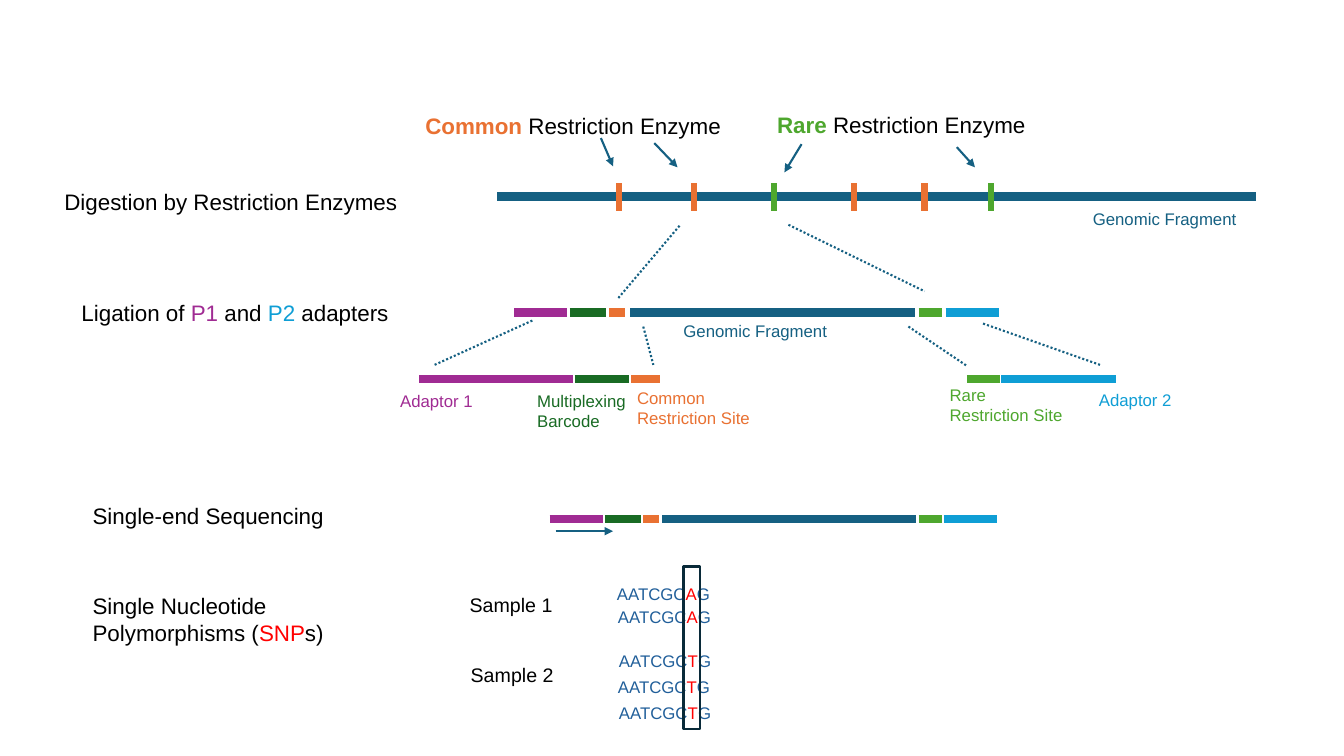
"""Build a slide on sequencing with two restriction enzymes."""
from dataclasses import dataclass
from lxml.etree import SubElement as Sub
from pptx import Presentation
from pptx.dml.color import RGBColor as RGB
from pptx.enum.dml import MSO_LINE as Dash
from pptx.enum.shapes import MSO_CONNECTOR as Conn, MSO_SHAPE as Shape
from pptx.enum.text import MSO_AUTO_SIZE as Auto
from pptx.oxml.ns import qn
from pptx.util import Inches, Pt


@dataclass(frozen=True)
class Theme:
    """Hold the colours, type sizes and line widths."""
    font: str = "Arial"
    black: str = "000000"
    blue: str = "156082"
    orange: str = "E97132"
    green: str = "4EA72E"
    forest: str = "196B24"
    purple: str = "A02B93"
    sky: str = "0F9ED5"
    base: str = "215F9A"
    red: str = "FF0000"
    frame: str = "092A39"
    step: int = 16
    sample: int = 14
    label: int = 12
    bar: float = 6
    tick: float = 4.5
    thin: float = 1.5


T = Theme()

GENOME = (4.93, 12.46, 1.95)
SITES = [(6.14, T.orange), (6.88, T.orange), (7.68, T.green),
         (8.47, T.orange), (9.17, T.orange), (9.83, T.green)]
TICK = (1.82, 2.09)

BARS = [
    (3.1, [(5.1, 5.62, T.purple), (5.65, 6.01, T.forest), (6.04, 6.2, T.orange),
           (6.25, 9.08, T.blue), (9.11, 9.34, T.green), (9.38, 9.91, T.sky)]),
    (3.76, [(4.16, 5.68, T.purple), (5.7, 6.24, T.forest), (6.26, 6.55, T.orange),
            (9.59, 9.92, T.green), (9.93, 11.07, T.sky)]),
    (5.15, [(5.45, 5.98, T.purple), (6, 6.36, T.forest), (6.38, 6.54, T.orange),
            (6.57, 9.09, T.blue), (9.11, 9.34, T.green), (9.36, 9.89, T.sky)]),
]

ARROWS = [(5.96, 1.37, 6.08, 1.65), (6.49, 1.42, 6.72, 1.66),
          (7.95, 1.43, 7.78, 1.71), (9.49, 1.46, 9.67, 1.66),
          (5.51, 5.27, 6.08, 5.27)]
ZOOMS = [(6.74, 2.24, 6.13, 2.96), (7.82, 2.23, 9.17, 2.89),
         (5.28, 3.18, 4.31, 3.62), (6.38, 3.24, 6.48, 3.62),
         (9.01, 3.24, 9.59, 3.63), (9.75, 3.21, 10.91, 3.62)]

ENZYMES = [(4.12, 1.06, 3.28, "Common", T.orange), (7.61, 1.05, 3.13, "Rare", T.green)]
STEPS = [
    (0.54, 1.82, 3.88, 0.37, [("Digestion by Restriction Enzymes", T.black)]),
    (0.71, 2.92, 3.28, 0.37, [("Ligation of ", T.black), ("P1", T.purple), (" and ", T.black),
                              ("P2", T.sky), (" adapters", T.black)]),
    (0.82, 4.93, 3.28, 0.37, [("Single-end Sequencing", T.black)]),
    (0.82, 5.83, 2.65, 0.64, [("Single Nucleotide Polymorphisms (", T.black),
                              ("SNP", T.red), ("s)", T.black)]),
]
LABELS = [
    (10.74, 2.02, 1.64, 0.3, T.blue, ["Genomic Fragment"]),
    (6.68, 3.13, 1.64, 0.3, T.blue, ["Genomic Fragment"]),
    (3.87, 3.83, 0.97, 0.3, T.purple, ["Adaptor 1"]),
    (5.23, 3.83, 1.13, 0.5, T.forest, ["Multiplexing", "Barcode"]),
    (6.22, 3.8, 1.33, 0.5, T.orange, ["Common Restriction Site"]),
    (9.32, 3.77, 1.41, 0.5, T.green, ["Rare", "Restriction Site"]),
    (10.8, 3.82, 0.99, 0.3, T.sky, ["Adaptor 2"]),
]
SAMPLES = [(4.56, 5.83, "Sample 1"), (4.57, 6.53, "Sample 2")]
READS = [(6.02, 5.74, "A"), (6.03, 5.97, "A"), (6.04, 6.41, "T"),
         (6.03, 6.66, "T"), (6.04, 6.92, "T")]
FRAME = (6.78, 5.62, 0.16, 1.61)

deck = Presentation()
deck.slide_width, deck.slide_height = Inches(13.33), Inches(7.5)
shapes = deck.slides.add_slide(deck.slide_layouts[6]).shapes


def stroke(ends, color, width, dots=False, head=False):
    """Draw a straight line, dotted or with an arrowhead on request."""
    link = shapes.add_connector(Conn.STRAIGHT, *map(Inches, ends))
    link.line.width = Pt(width)
    link.line.color.rgb = RGB.from_string(color)
    if dots:
        link.line.dash_style = Dash.ROUND_DOT
    props = link._element.spPr
    if head:
        Sub(props.find(qn("a:ln")), qn("a:tailEnd"), type="triangle")
    Sub(props, qn("a:effectLst"))


def write(area, size, *lines):
    """Add a text box; each line is a list of (text, color, bold) runs."""
    box = shapes.add_textbox(*map(Inches, area))
    frame = box.text_frame
    frame.word_wrap = True
    frame.auto_size = Auto.SHAPE_TO_FIT_TEXT
    for i, line in enumerate(lines):
        para = frame.paragraphs[0] if i == 0 else frame.add_paragraph()
        for text, color, *bold in line:
            run = para.add_run()
            run.text = text
            run.font.name, run.font.size = T.font, Pt(size)
            run.font.bold = bool(bold)
            run.font.color.rgb = RGB.from_string(color)


left, right, mid = GENOME
stroke((left, mid, right, mid), T.blue, T.bar)
for x, color in SITES:
    stroke((x, TICK[0], x, TICK[1]), color, T.tick)
for y, parts in BARS:
    for start, end, color in parts:
        stroke((start, y, end, y), color, T.bar)
for ends in ARROWS:
    stroke(ends, T.blue, T.thin, head=True)
for ends in ZOOMS:
    stroke(ends, T.blue, T.thin, dots=True)

for x, y, w, name, color in ENZYMES:
    write((x, y, w, 0.37), T.step, [(name, color, True), (" Restriction Enzyme", T.black)])
for *area, runs in STEPS:
    write(area, T.step, runs)
for *area, color, lines in LABELS:
    write(area, T.label, *[[(text, color)] for text in lines])
for x, y, name in SAMPLES:
    write((x, y, 1.07, 0.34), T.sample, [(name, T.black)])
for x, y, snp in READS:
    write((x, y, 1.25, 0.3), T.label, [("AATCGC", T.base), (snp, T.red), ("G", T.base)])

mark = shapes.add_shape(Shape.RECTANGLE, *map(Inches, FRAME))
mark.shadow.inherit = False
mark.fill.background()
mark.line.width = Pt(T.thin)
mark.line.color.rgb = RGB.from_string(T.frame)

deck.save("out.pptx")
